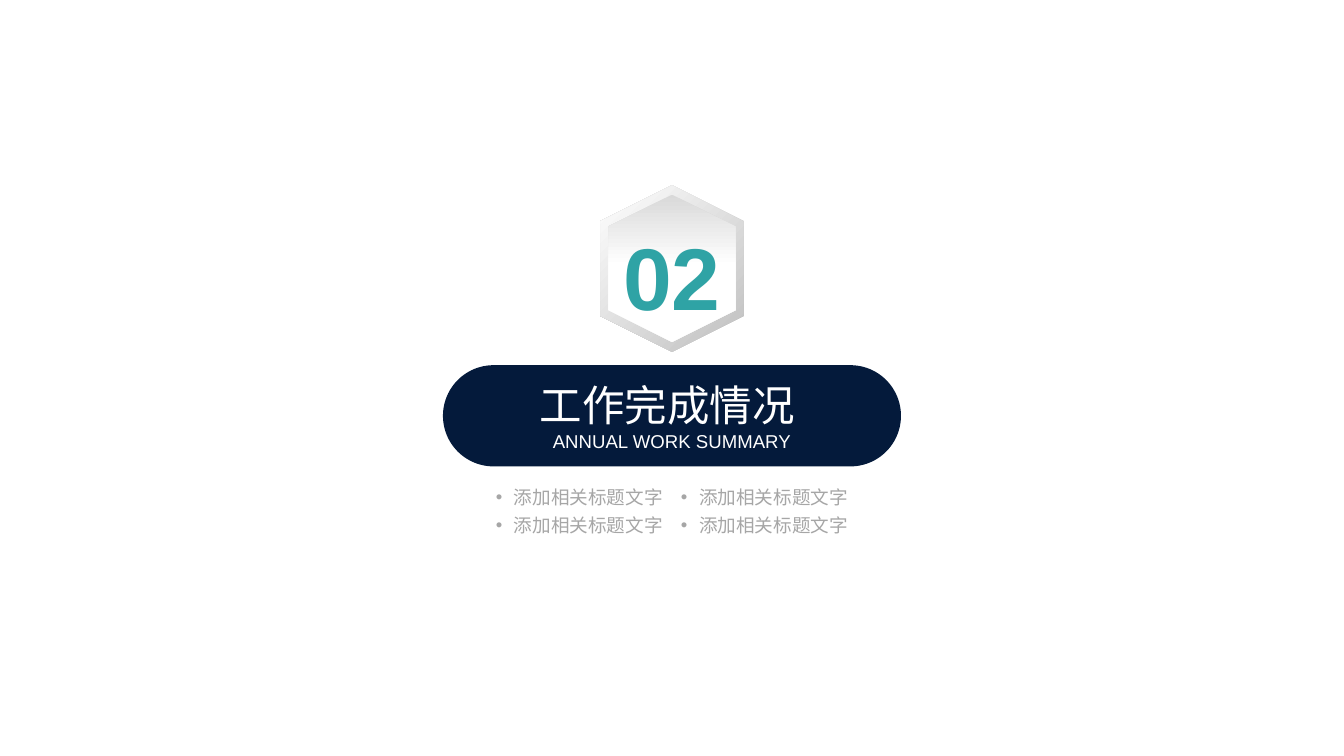
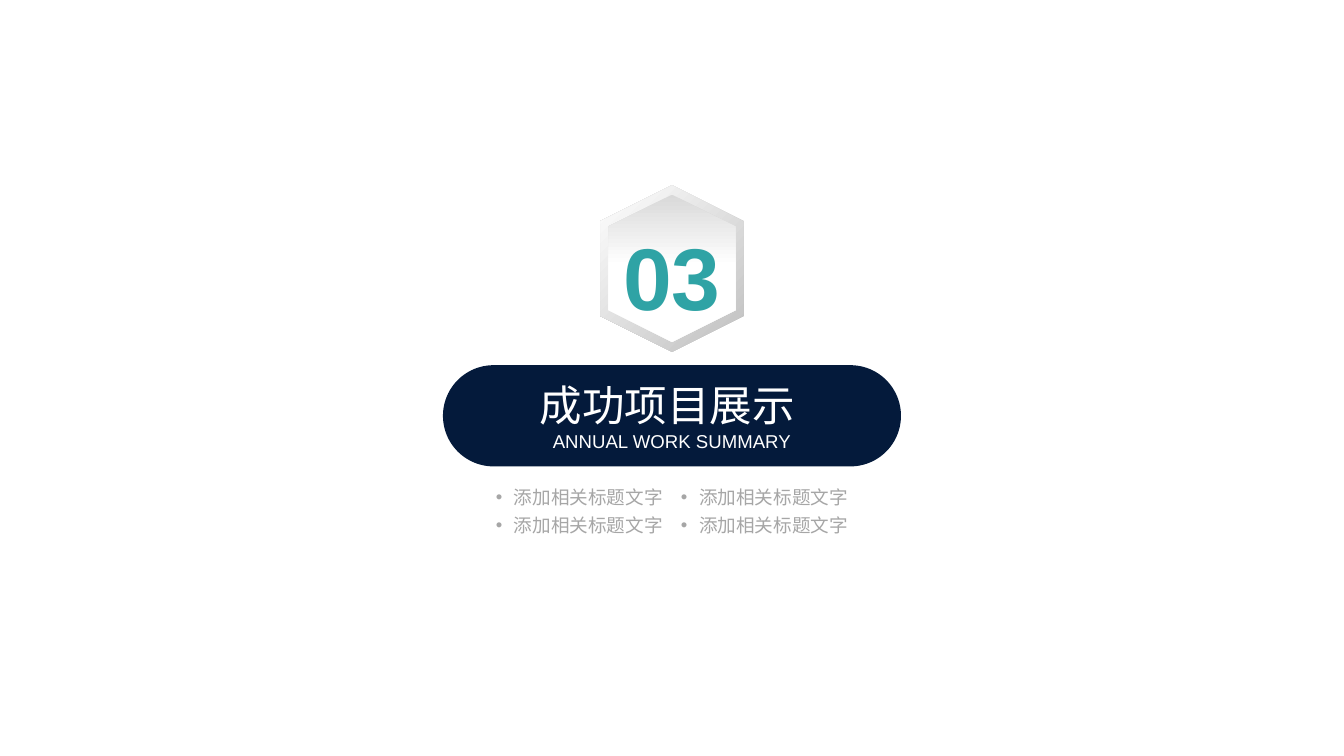
from itertools import product

from pptx import Presentation
from pptx.dml.color import RGBColor
from pptx.enum.shapes import MSO_SHAPE as Preset
from pptx.enum.text import MSO_ANCHOR as Anchor, PP_ALIGN as Align
from pptx.oxml.ns import qn
from pptx.util import Cm, Pt

COLORS = {
    "navy": "041A3B",
    "teal": "2FA3A5",
    "white": "FFFFFF",
    "text_gray": "A6A6A6",
    "rim_gray": "BFBFBF",
    "face_gray": "D9D9D9",
}
FORMATS = {
    "number": {"size": Pt(66), "bold": True, "color": "teal"},
    "title": {"size": Pt(32), "color": "white"},
    "subtitle": {"size": Pt(14), "color": "white"},
    "topic": {"size": Pt(14), "color": "text_gray"},
}
SLIDE_WIDTH, SLIDE_HEIGHT = 35.71, 20.09
CENTER_X = SLIDE_WIDTH / 2
SECTIONS = [("02", "工作完成情况"), ("03", "成功项目展示")]
SUBTITLE = "ANNUAL WORK SUMMARY"
TOPIC = "添加相关标题文字"
TOPIC_ROWS = (13.21, 13.97)
TOPIC_OFFSETS = (-2.46, 2.46)


def rgb(name):
    return RGBColor.from_string(COLORS[name])


def centered(x, y, width, height):
    return [Cm(v) for v in (x - width / 2, y - height / 2, width, height)]


def style(font, format_name):
    for key, value in {"name": "Arial", **FORMATS[format_name]}.items():
        if key == "color":
            font.color.rgb = rgb(value)
        else:
            setattr(font, key, value)


def add_run(paragraph, text, format_name):
    run = paragraph.add_run()
    run.text = text
    style(run.font, format_name)


def add_centered_text(shapes, box, wrap=True, anchor=Anchor.TOP):
    frame = shapes.add_textbox(*box).text_frame
    settings = {
        "margin_left": 0, "margin_right": 0, "margin_top": 0, "margin_bottom": 0,
        "word_wrap": wrap, "vertical_anchor": anchor,
    }
    for key, value in settings.items():
        setattr(frame, key, value)
    paragraph = frame.paragraphs[0]
    paragraph.alignment = Align.CENTER
    return paragraph


def add_preset(shapes, preset, box):
    shape = shapes.add_shape(preset, *box)
    shape.shadow.inherit = False
    shape.line.fill.background()
    return shape


def add_banner(slide, title):
    pill = add_preset(slide.shapes, Preset.ROUNDED_RECTANGLE,
                      centered(CENTER_X, 11.05, 12.17, 2.69))
    pill.adjustments[0] = 0.5
    pill.fill.solid()
    pill.fill.fore_color.rgb = rgb("navy")

    heading = add_centered_text(slide.shapes, centered(CENTER_X, 11.04, 7.2, 1.96),
                                anchor=Anchor.MIDDLE)
    add_run(heading, title + " ", "title")
    heading.add_line_break()
    add_run(heading, SUBTITLE, "subtitle")


def add_topic(slide, x, y):
    topic = add_centered_text(slide.shapes, centered(x, y, 4.47, 0.61), wrap=False)
    properties = topic._p.get_or_add_pPr()
    properties.set("marL", str(Cm(0.48)))
    properties.set("indent", str(-Cm(0.48)))
    for tag, key, value in (("a:buFont", "typeface", "Arial"), ("a:buChar", "char", "•")):
        bullet = properties.makeelement(qn(tag), {key: value})
        properties.append(bullet)
    add_run(topic, TOPIC, "topic")


def add_hexagon(shapes, box, angle, stops):
    hexagon = add_preset(shapes, Preset.HEXAGON, box)
    hexagon.rotation = 90
    hexagon.fill.gradient()
    hexagon.fill.gradient_angle = angle
    for stop, (position, color) in zip(hexagon.fill.gradient_stops, stops):
        stop.position = position
        stop.color.rgb = rgb(color)


def add_badge(slide, number):
    badge = slide.shapes.add_group_shape().shapes
    add_hexagon(badge, centered(CENTER_X, 7.14, 4.42, 3.81), 225,
                [(0, "rim_gray"), (1, "white")])
    add_hexagon(badge, centered(CENTER_X, 7.13, 3.91, 3.38), 0,
                [(0, "face_gray"), (0.48, "white")])
    label = add_centered_text(badge, centered(CENTER_X, 7.33, 3.1, 2.82))
    add_run(label, number, "number")


def main():
    deck = Presentation()
    deck.slide_width, deck.slide_height = Cm(SLIDE_WIDTH), Cm(SLIDE_HEIGHT)
    for number, title in SECTIONS:
        slide = deck.slides.add_slide(deck.slide_layouts[6])
        add_banner(slide, title)
        for y, offset in product(TOPIC_ROWS, TOPIC_OFFSETS):
            add_topic(slide, CENTER_X + offset, y)
        add_badge(slide, number)
    deck.save("out.pptx")


if __name__ == "__main__":
    main()
